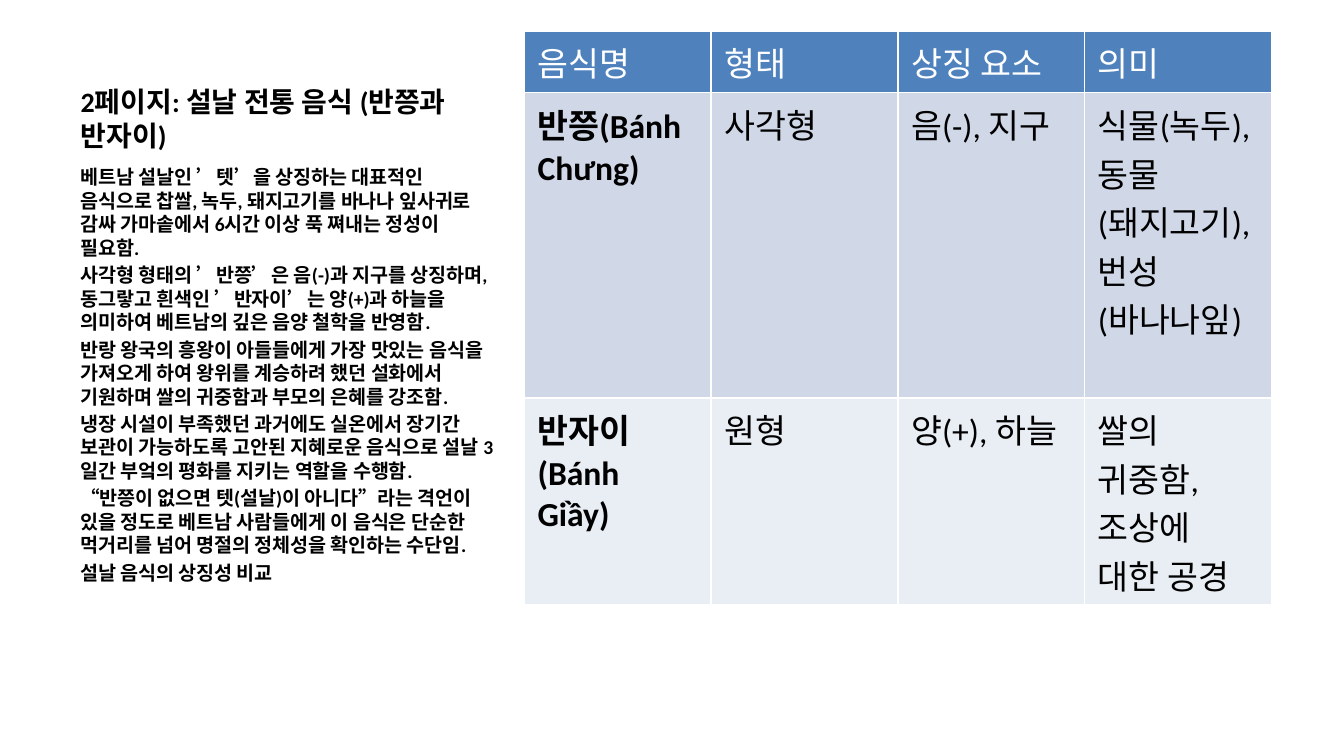
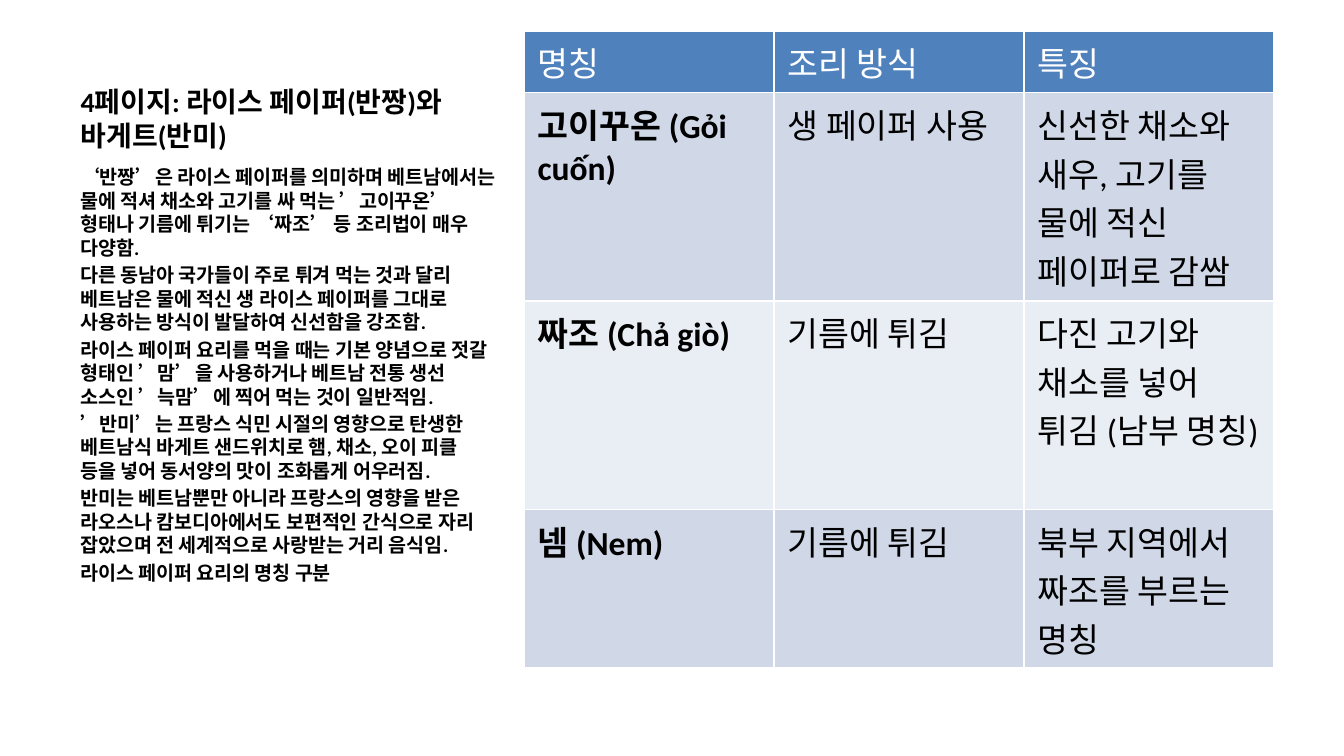
from dataclasses import dataclass

from pptx import Presentation
from pptx.dml.color import RGBColor
from pptx.enum import text
from pptx.util import Inches, Pt


@dataclass(frozen=True)
class Theme:
    font: str = "Calibri"
    black: str = "000000"
    white: str = "FFFFFF"
    header: str = "4F81BD"
    bands: tuple = ("D0D8E8", "E9EDF4")
    title_size: float = 15
    body_size: float = 10.5
    table_size: float = 18


THEME = Theme()

# Regions: left, top, width, height in inches
TITLE_BOX = (0.5, 0.23, 3.29, 0.95)
BODY_BOX = (0.5, 1.18, 3.29, 3.85)
TABLE_BOX = (3.9, 0.23, 5.58, 4.79)

FOOD_SLIDES = [
    {
        "title": "2페이지: 설날 전통 음식 (반쯩과 반자이)",
        "body": [
            "베트남 설날인 ’텟’을 상징하는 대표적인 음식으로 찹쌀, 녹두, 돼지고기를 바나나 잎사귀로 "
            "감싸 가마솥에서 6시간 이상 푹 쪄내는 정성이 필요함.",
            "사각형 형태의 ’반쯩’은 음(-)과 지구를 상징하며, 동그랗고 흰색인 ’반자이’는 양(+)과 하늘을 "
            "의미하여 베트남의 깊은 음양 철학을 반영함.",
            "반랑 왕국의 흥왕이 아들들에게 가장 맛있는 음식을 가져오게 하여 왕위를 계승하려 했던 설화에서 "
            "기원하며 쌀의 귀중함과 부모의 은혜를 강조함.",
            "냉장 시설이 부족했던 과거에도 실온에서 장기간 보관이 가능하도록 고안된 지혜로운 음식으로 설날 "
            "3일간 부엌의 평화를 지키는 역할을 수행함.",
            "“반쯩이 없으면 텟(설날)이 아니다”라는 격언이 있을 정도로 베트남 사람들에게 이 음식은 단순한 "
            "먹거리를 넘어 명절의 정체성을 확인하는 수단임.",
            "설날 음식의 상징성 비교",
        ],
        "column_width": 1.39,
        "row_heights": (0.46, 2.27, 1.54),
        "rows": [
            ("음식명", "형태", "상징 요소", "의미"),
            ("반쯩(Bánh Chưng)", "사각형", "음(-), 지구",
             "식물(녹두), 동물(돼지고기), 번성(바나나잎)"),
            ("반자이(Bánh Giầy)", "원형", "양(+), 하늘",
             "쌀의 귀중함, 조상에 대한 공경"),
        ],
    },
    {
        "title": "4페이지: 라이스 페이퍼(반짱)와 바게트(반미)",
        "body": [
            "‘반짱’은 라이스 페이퍼를 의미하며 베트남에서는 물에 적셔 채소와 고기를 싸 먹는 ’고이꾸온’ "
            "형태나 기름에 튀기는 ‘짜조’ 등 조리법이 매우 다양함.",
            "다른 동남아 국가들이 주로 튀겨 먹는 것과 달리 베트남은 물에 적신 생 라이스 페이퍼를 그대로 "
            "사용하는 방식이 발달하여 신선함을 강조함.",
            "라이스 페이퍼 요리를 먹을 때는 기본 양념으로 젓갈 형태인 ’맘’을 사용하거나 베트남 전통 생선 "
            "소스인 ’늑맘’에 찍어 먹는 것이 일반적임.",
            "’반미’는 프랑스 식민 시절의 영향으로 탄생한 베트남식 바게트 샌드위치로 햄, 채소, 오이 피클 "
            "등을 넣어 동서양의 맛이 조화롭게 어우러짐.",
            "반미는 베트남뿐만 아니라 프랑스의 영향을 받은 라오스나 캄보디아에서도 보편적인 간식으로 자리 "
            "잡았으며 전 세계적으로 사랑받는 거리 음식임.",
            "라이스 페이퍼 요리의 명칭 구분",
        ],
        "column_width": 1.86,
        "row_heights": (0.46, 1.55, 1.55, 1.18),
        "rows": [
            ("명칭", "조리 방식", "특징"),
            ("고이꾸온 (Gỏi cuốn)", "생 페이퍼 사용",
             "신선한 채소와 새우, 고기를 물에 적신 페이퍼로 감쌈"),
            ("짜조 (Chả giò)", "기름에 튀김",
             "다진 고기와 채소를 넣어 튀김 (남부 명칭)"),
            ("넴 (Nem)", "기름에 튀김", "북부 지역에서 짜조를 부르는 명칭"),
        ],
    },
]


def format_runs(text_frame, size, color, bold):
    for paragraph in text_frame.paragraphs:
        paragraph.alignment = text.PP_ALIGN.LEFT
        for run in paragraph.runs:
            run.font.name = THEME.font
            run.font.size = Pt(size)
            run.font.bold = bold
            run.font.color.rgb = RGBColor.from_string(color)


def set_title(slide, title, box):
    shape = slide.shapes.title
    shape.left, shape.top, shape.width, shape.height = map(Inches, box)
    text_frame = shape.text_frame
    text_frame.text = title
    text_frame.vertical_anchor = text.MSO_ANCHOR.BOTTOM
    text_frame.auto_size = text.MSO_AUTO_SIZE.NONE
    format_runs(text_frame, THEME.title_size, THEME.black, True)


def add_body(slide, paragraphs, box):
    text_frame = slide.shapes.add_textbox(*map(Inches, box)).text_frame
    text_frame.word_wrap = True
    text_frame.text = "\n".join(paragraphs)
    for paragraph in text_frame.paragraphs:
        paragraph.space_before = Pt(THEME.body_size * 0.2)
    format_runs(text_frame, THEME.body_size, THEME.black, True)


def add_food_table(slide, content, box):
    rows = content["rows"]
    # The default table style supplies the white borders
    table = slide.shapes.add_table(len(rows), len(rows[0]), *map(Inches, box)).table
    for column in table.columns:
        column.width = Inches(content["column_width"])
    for row_index, (row, height) in enumerate(zip(rows, content["row_heights"])):
        table.rows[row_index].height = Inches(height)
        is_header = row_index == 0
        fill = THEME.header if is_header else THEME.bands[(row_index - 1) % 2]
        for column_index, value in enumerate(row):
            cell = table.cell(row_index, column_index)
            cell.text_frame.text = value
            # Only the food names in the first column are bold
            format_runs(cell.text_frame, THEME.table_size,
                        THEME.white if is_header else THEME.black,
                        not is_header and column_index == 0)
            cell.fill.solid()
            cell.fill.fore_color.rgb = RGBColor.from_string(fill)


def add_food_slide(presentation, content):
    slide = presentation.slides.add_slide(presentation.slide_layouts.get_by_name("Title Only"))
    set_title(slide, content["title"], TITLE_BOX)
    add_body(slide, content["body"], BODY_BOX)
    add_food_table(slide, content, TABLE_BOX)


def main():
    presentation = Presentation()
    # Widescreen, 16:9
    presentation.slide_width = Inches(10)
    presentation.slide_height = Inches(10) * 9 // 16
    for content in FOOD_SLIDES:
        add_food_slide(presentation, content)
    presentation.save("out.pptx")


if __name__ == "__main__":
    main()
